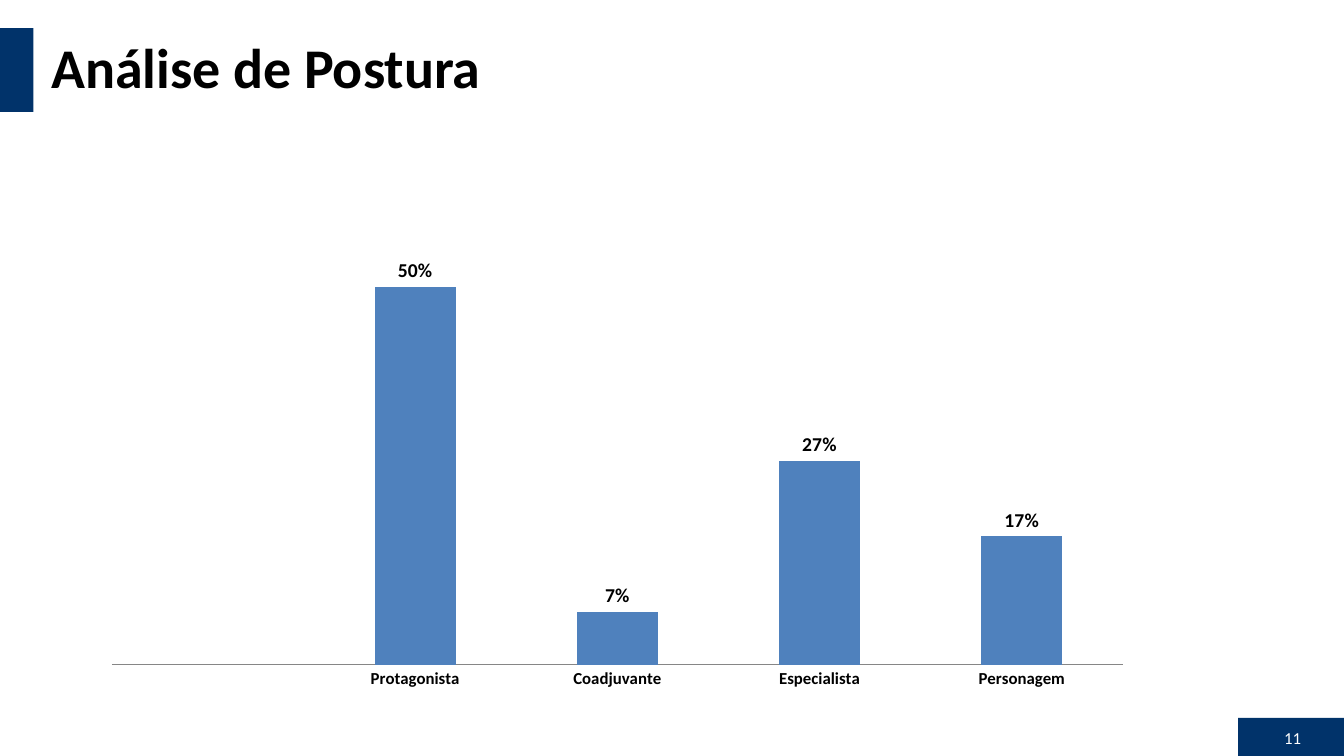
from dataclasses import dataclass

from lxml import etree
from pptx import Presentation
from pptx import util as u
from pptx.chart.data import CategoryChartData
from pptx.dml.color import RGBColor
from pptx.enum import chart as charts, shapes, text
from pptx.oxml import ns

FONT = "Calibri"
NAVY, BLUE, BLACK, WHITE, GREY = "01336A", "4F81BD", "000000", "FFFFFF", "868686"


@dataclass
class Area:
    left: float
    top: float
    width: float
    height: float

    def lengths(self) -> list[u.Length]:
        return [u.Cm(n) for n in (self.left, self.top, self.width, self.height)]


def colour(value: str) -> RGBColor:
    return RGBColor.from_string(value)


def assign(target, values: dict) -> None:
    for name, value in values.items():
        setattr(target, name, value)


def style_font(font, size: float, value: str = BLACK, bold: bool = False) -> None:
    assign(font, {"name": FONT, "size": u.Pt(size), "bold": bold})
    font.color.rgb = colour(value)


def add_block(page, area: Area) -> None:
    block = page.shapes.add_shape(shapes.MSO_SHAPE.RECTANGLE, *area.lengths())
    block.shadow.inherit = False
    block.fill.solid()
    block.fill.fore_color.rgb = colour(NAVY)
    block.line.fill.background()


def write(box, words: str, size: float, value: str, align, bold: bool = False,
          spacing: float = 1.0) -> None:
    assign(box.text_frame, {"word_wrap": True, "auto_size": text.MSO_AUTO_SIZE.NONE,
                            "vertical_anchor": text.MSO_ANCHOR.MIDDLE})
    para = box.text_frame.paragraphs[0]
    assign(para, {"alignment": align, "line_spacing": spacing})
    span = para.add_run()
    span.text = words
    style_font(span.font, size, value, bold)


def fix_plot_area(chart, **fractions: float) -> None:
    """Pin the inner plot area to fractions of the chart frame."""
    plot_area = chart.plots[0]._element.getparent()
    for old in plot_area.findall(ns.qn("c:layout")):
        plot_area.remove(old)
    layout = etree.Element(ns.qn("c:layout"))
    manual = etree.SubElement(layout, ns.qn("c:manualLayout"))
    settings = {"layoutTarget": "inner", "xMode": "edge", "yMode": "edge", **fractions}
    for name, value in settings.items():
        etree.SubElement(manual, ns.qn(f"c:{name}")).set("val", str(value))
    plot_area.insert(0, layout)


deck = Presentation()
assign(deck, {"slide_width": u.Cm(33.87), "slide_height": u.Cm(19.05)})
page = deck.slides.add_slide(deck.slide_layouts[5])

# Navy blocks beside the title and behind the page number
for area in (Area(31.2, 18.09, 2.67, 0.96), Area(0, 0.71, 0.84, 2.11)):
    add_block(page, area)

# Title
title = page.shapes.title
assign(title, dict(zip(("left", "top", "width", "height"),
                       Area(1.04, 0.71, 32, 2.11).lengths())))
write(title, "Análise de Postura", 40, BLACK, text.PP_ALIGN.LEFT, bold=True, spacing=0.9)

# Page number
number = page.shapes.add_textbox(*Area(32, 18.29, 1.04, 0.58).lengths())
write(number, "11", 12, WHITE, text.PP_ALIGN.RIGHT)

# Posture chart; the first category is blank
postures = {"": None, "Protagonista": 0.5, "Coadjuvante": 0.07,
            "Especialista": 0.27, "Personagem": 0.17}
data = CategoryChartData(number_format="0%")
data.categories = list(postures)
data.add_series("Series 1", list(postures.values()))
chart = page.shapes.add_chart(charts.XL_CHART_TYPE.COLUMN_CLUSTERED,
                              *Area(2.29, 5.08, 26.54, 12.55).lengths(), data).chart
assign(chart, {"has_legend": False, "has_title": False})
style_font(chart.font, 10)
fix_plot_area(chart, x=0.02, y=0.02, w=0.96, h=0.91)

# Columns and their labels
plot = chart.plots[0]
assign(plot, {"gap_width": 150, "overlap": -25, "vary_by_categories": False,
              "has_data_labels": True})
fill = plot.series[0].format.fill
fill.solid()
fill.fore_color.rgb = colour(BLUE)
labels = plot.data_labels
assign(labels, {"show_value": True, "number_format": "0%", "number_format_is_linked": False,
                "position": charts.XL_LABEL_POSITION.OUTSIDE_END})
style_font(labels.font, 14, bold=True)

# Axes
no_ticks = charts.XL_TICK_MARK.NONE
for axis in (chart.category_axis, chart.value_axis):
    assign(axis, {"major_tick_mark": no_ticks, "minor_tick_mark": no_ticks,
                  "has_major_gridlines": False})
style_font(chart.category_axis.tick_labels.font, 12, bold=True)
axis_line = chart.category_axis.format.line
axis_line.width = u.Pt(0.75)
axis_line.color.rgb = colour(GREY)
assign(chart.value_axis, {"visible": False, "minimum_scale": 0, "maximum_scale": 0.6})
assign(chart.value_axis.tick_labels, {"number_format": "0%", "number_format_is_linked": False})

deck.save("out.pptx")
